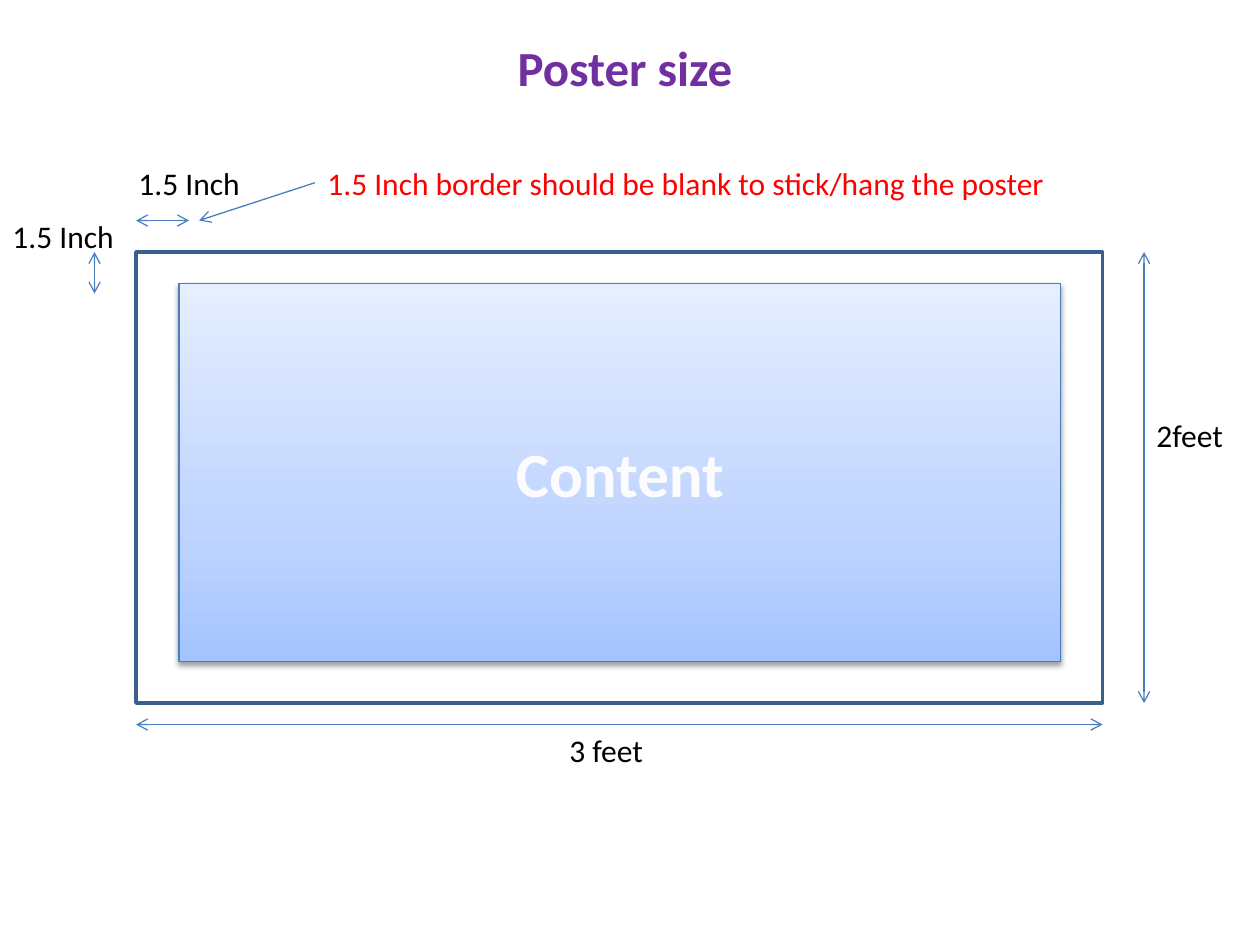
from copy import deepcopy

from lxml.etree import SubElement
from pptx import Presentation
from pptx.dml.color import RGBColor
from pptx.enum.shapes import MSO_CONNECTOR, MSO_SHAPE
from pptx.enum.text import MSO_ANCHOR, PP_ALIGN
from pptx.oxml import parse_xml
from pptx.oxml.ns import nsdecls, qn
from pptx.util import Inches, Pt

COLORS = {
    "title": "7030A0", "text": "000000", "note": "FF0000", "content": "FCFCFF",
    "border": "3A5F8C", "line": "4B7EBC", "outline": "1E7CEE", "shadow": "000000",
    "bottom": "A4C4FF", "middle": "BFD4FF", "top": "E6EEFF",
}


def rgb(name):
    """Return the named colour."""
    return RGBColor.from_string(COLORS[name])


def write(tf, text, size=18, color="text", bold=False, align=PP_ALIGN.LEFT):
    """Put one formatted run into a text frame and return it."""
    tf.word_wrap = True
    p = tf.paragraphs[0]
    p.alignment = align
    r = p.add_run()
    r.text = text
    r.font.name = "Calibri"
    r.font.size = Pt(size)
    r.font.bold = bold
    r.font.color.rgb = rgb(color)
    return r


def add_label(s, text, x, y, w, h=0.4, **fmt):
    """Add a text box."""
    box = s.shapes.add_textbox(Inches(x), Inches(y), Inches(w), Inches(h))
    write(box.text_frame, text, **fmt)


def add_arrow(s, x1, y1, x2, y2, ends=("headEnd", "tailEnd")):
    """Add a thin line with open arrowheads at the given ends."""
    line = s.shapes.add_connector(
        MSO_CONNECTOR.STRAIGHT, Inches(x1), Inches(y1), Inches(x2), Inches(y2))
    line.line.color.rgb = rgb("line")
    line.line.width = Pt(0.75)
    ln = line.line._get_or_add_ln()
    for end in ends:
        SubElement(ln, qn(f"a:{end}"), type="arrow")
    SubElement(line._element.spPr, qn("a:effectLst"))


def add_rect(s, x, y, w, h, color, width):
    """Add an unfilled rectangle without a shadow."""
    sp = s.shapes.add_shape(
        MSO_SHAPE.RECTANGLE, Inches(x), Inches(y), Inches(w), Inches(h))
    sp.shadow.inherit = False
    sp.fill.background()
    sp.line.color.rgb = rgb(color)
    sp.line.width = Pt(width)
    return sp


def add_content(s, x, y, w, h):
    """Add the shaded content area with its outlined caption."""
    sp = add_rect(s, x, y, w, h, "line", 0.75)
    sp.fill.gradient()
    sp.fill.gradient_angle = 90
    spPr = sp._element.spPr
    stops = spPr.find(qn("a:gradFill")).find(qn("a:gsLst"))
    stops.insert(1, deepcopy(stops[0]))
    for stop, name, position in zip(
            sp.fill.gradient_stops, ("bottom", "middle", "top"), (0, 0.35, 1)):
        stop.color.rgb = rgb(name)
        stop.position = position
    spPr.find(qn("a:effectLst")).append(parse_xml(
        f'<a:outerShdw {nsdecls("a")} blurRad="{Pt(3.1)}" dist="{Pt(1.6)}" '
        f'dir="5400000" rotWithShape="0"><a:srgbClr val="{COLORS["shadow"]}">'
        '<a:alpha val="38000"/></a:srgbClr></a:outerShdw>'))
    sp.text_frame.vertical_anchor = MSO_ANCHOR.MIDDLE
    r = write(sp.text_frame, "Content", size=36, color="content", bold=True,
              align=PP_ALIGN.CENTER)
    r.font._element.insert(0, parse_xml(
        f'<a:ln {nsdecls("a")} w="{Pt(0.07)}"><a:solidFill>'
        f'<a:srgbClr val="{COLORS["outline"]}"><a:alpha val="55000"/></a:srgbClr>'
        '</a:solidFill><a:prstDash val="solid"/></a:ln>'))


def add_poster(s, x, y, w, h):
    """Draw the poster, its overall dimensions and its blank border."""
    right, bottom = x + w, y + h
    add_rect(s, x, y, w, h, "border", 2)
    add_arrow(s, right + 0.33, y, right + 0.33, bottom)
    add_arrow(s, x, bottom + 0.17, right, bottom + 0.17)
    add_label(s, "2feet", right + 0.33, y + 1.25, 0.75)
    add_label(s, "3 feet", x + 3.34, bottom + 0.17, 1.33)
    add_content(s, x + 0.34, y + 0.25, w - 0.67, h - 0.58)
    add_arrow(s, x - 0.33, y, x - 0.33, y + 0.33)
    add_arrow(s, x, y - 0.25, x + 0.42, y - 0.25)
    add_label(s, "1.5 Inch", x - 0.08, y - 0.75, 1.25)
    add_label(s, "1.5 Inch", x - 1.08, y - 0.33, 1.25)
    add_label(s, "1.5 Inch border should be blank to stick/hang the poster",
              x + 1.42, y - 0.75, 6.33, color="note")
    add_arrow(s, x + 1.42, y - 0.55, x + 0.5, y - 0.25, ends=("tailEnd",))


def main():
    """Build and save the slide."""
    prs = Presentation()
    prs.slide_width, prs.slide_height = Inches(10), Inches(7.5)
    s = prs.slides.add_slide(prs.slide_layouts[6])
    add_label(s, "Poster size", 1, 0.25, 7.92, 0.57, size=28, color="title",
              bold=True, align=PP_ALIGN.CENTER)
    add_poster(s, 1.08, 2, 7.67, 3.58)
    prs.save("out.pptx")


if __name__ == "__main__":
    main()
